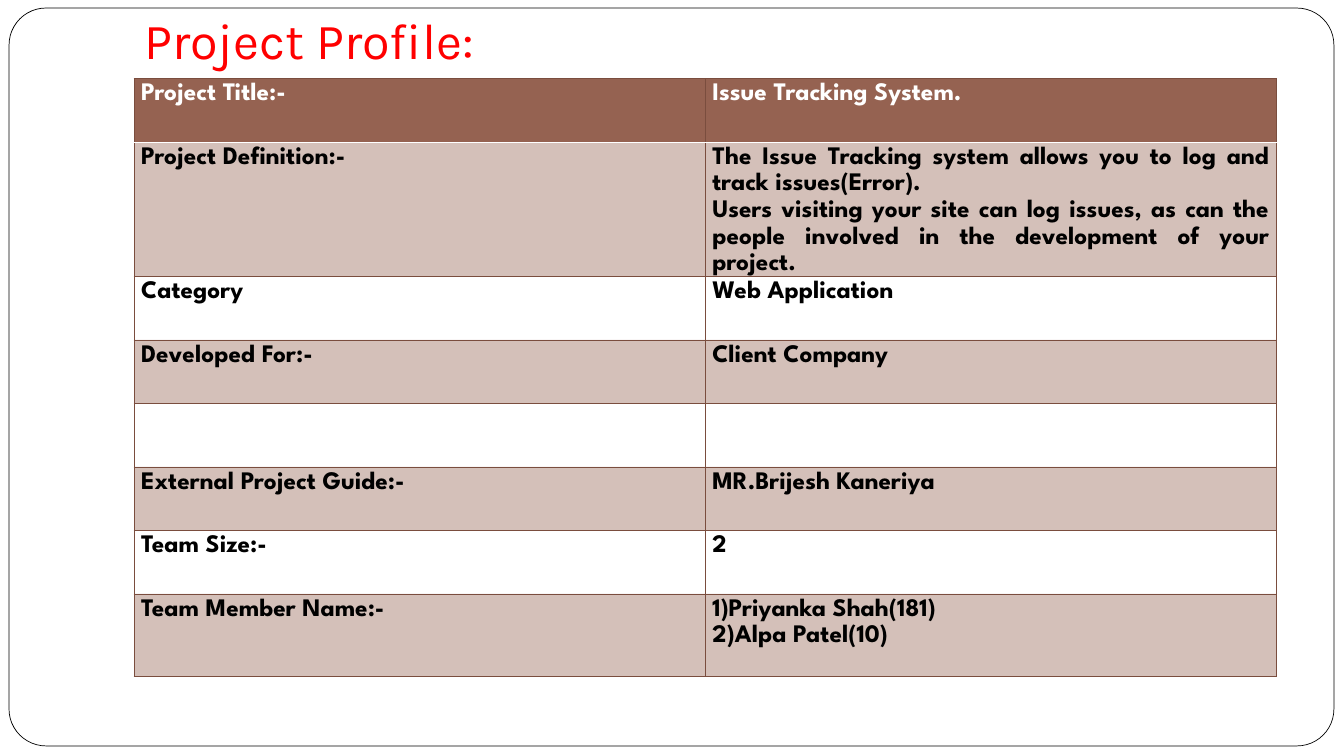
from lxml import etree
from pptx import Presentation
from pptx.dml.color import RGBColor
from pptx.enum import shapes, text
from pptx.oxml import ns
from pptx.util import Inches, Pt

BLACK = RGBColor(0x00, 0x00, 0x00)
WHITE = RGBColor(0xFF, 0xFF, 0xFF)
RED = RGBColor(0xFF, 0x00, 0x00)
BROWN = RGBColor(0x95, 0x62, 0x51)
DARK = RGBColor(0x7A, 0x4D, 0x3E)

WIDE, HIGH = 13.33, 7.5
LEFT, SPAN = 1.33, 11.33
ROW = 0.63
TALL = {1: 1.24, 7: 0.82}

ROWS = [
    ("Project Title:-", "Issue Tracking System."),
    ("Project Definition:-",
     "The Issue Tracking system allows you to log and track issues(Error).\n"
     "Users visiting your site can log issues, as can the people involved "
     "in the development of your project."),
    ("Category", "Web Application"),
    ("Developed For:-", "Client Company"),
    ("", ""),
    ("External Project Guide:-", "MR.Brijesh Kaneriya"),
    ("Team Size:-", "2"),
    ("Team Member Name:-", "1)Priyanka Shah(181)\n2)Alpa Patel(10)"),
]

HEAD = {"name": "Karla", "size": Pt(36), "bold": False}
BODY = {"name": "League Spartan", "size": Pt(18), "bold": True}
FRAME = {"vertical_anchor": text.MSO_ANCHOR.BOTTOM, "word_wrap": True,
         "auto_size": text.MSO_AUTO_SIZE.NONE,
         "margin_left": Inches(0.1), "margin_right": Inches(0.1),
         "margin_top": Inches(0.05), "margin_bottom": Inches(0.1)}
CELL = {"vertical_anchor": text.MSO_ANCHOR.TOP,
        "margin_left": Inches(0.07), "margin_right": Inches(0.07),
        "margin_top": Inches(0.01), "margin_bottom": 0}
PARA = {"alignment": text.PP_ALIGN.JUSTIFY, "line_spacing": 1.15}


def apply(item, values):
    for key, value in values.items():
        setattr(item, key, value)


def style(para, font, color):
    apply(para.font, font)
    para.font.color.rgb = color


def add_title(slide, box):
    title = slide.shapes.title
    title.left, title.top, title.width, title.height = map(Inches, box)
    title.text = "Project Profile:"
    apply(title.text_frame, FRAME)
    para = title.text_frame.paragraphs[0]
    para.alignment = text.PP_ALIGN.LEFT
    style(para, HEAD, RED)


def add_frame(slide, box):
    frame = slide.shapes.add_shape(
        shapes.MSO_SHAPE.ROUNDED_RECTANGLE, *map(Inches, box))
    frame.adjustments[0] = 0.05
    frame.shadow.inherit = False
    frame.fill.solid()
    frame.fill.fore_color.rgb = WHITE
    frame.line.color.rgb = BLACK
    frame.line.width = Pt(0.5)
    slide.shapes.title.element.addprevious(frame.element)


def set_edges(cell, row):
    props = cell._tc.get_or_add_tcPr()
    white = {0: "lnB", 1: "lnT"}.get(row)
    for place, side in enumerate(("lnL", "lnR", "lnT", "lnB")):
        color, width = (WHITE, 1) if side == white else (DARK, 0.75)
        line = etree.Element(ns.qn("a:" + side), w=str(Pt(width)))
        fill = etree.SubElement(line, ns.qn("a:solidFill"))
        etree.SubElement(fill, ns.qn("a:srgbClr"), val=str(color))
        props.insert(place, line)


def set_fill(cell, row):
    if row and row % 2 == 0:
        cell.fill.background()
        return
    cell.fill.solid()
    cell.fill.fore_color.rgb = BROWN
    if row:
        color = cell._tc.tcPr.find(".//" + ns.qn("a:srgbClr"))
        etree.SubElement(color, ns.qn("a:alpha"), val="40000")


def add_table(slide, box):
    table = slide.shapes.add_table(len(ROWS), 2, *map(Inches, box)).table
    apply(table, {"first_row": False, "horz_banding": False})
    for col in table.columns:
        col.width = Inches(box[2] / 2)
    for row, words in enumerate(ROWS):
        table.rows[row].height = Inches(TALL.get(row, ROW))
        for col, word in enumerate(words):
            cell = table.cell(row, col)
            cell.text = word
            apply(cell, CELL)
            for para in cell.text_frame.paragraphs:
                apply(para, PARA)
                style(para, BODY, BLACK if row else WHITE)
            set_fill(cell, row)
            set_edges(cell, row)


def main():
    deck = Presentation()
    deck.slide_width, deck.slide_height = Inches(WIDE), Inches(HIGH)
    slide = deck.slides.add_slide(deck.slide_layouts[5])
    add_title(slide, (LEFT, 0, SPAN, 0.79))
    add_frame(slide, (0.09, 0.08, 13.14, 7.32))
    add_table(slide, (LEFT, 0.78, SPAN, 5.84))
    deck.save("out.pptx")


if __name__ == "__main__":
    main()
